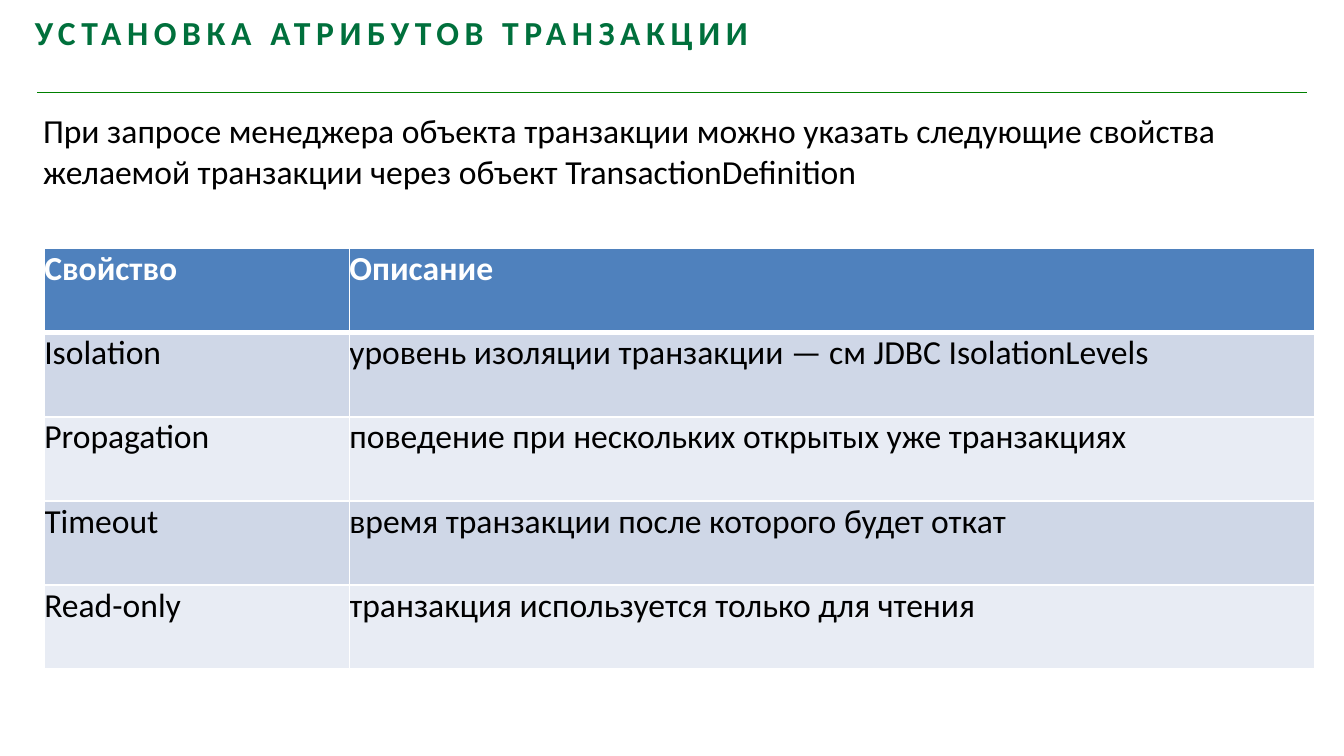
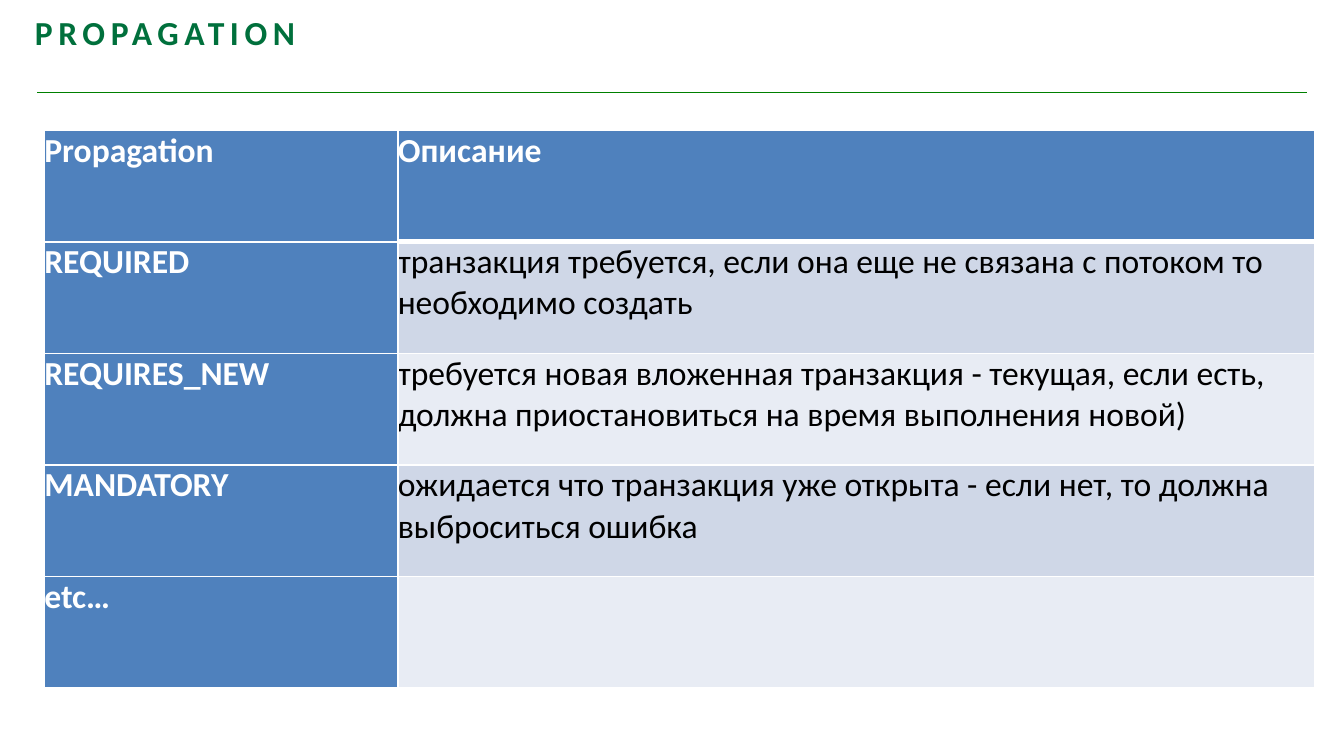
"""Build two slides about transaction attributes."""
from lxml import etree
from pptx import Presentation
from pptx import util as u
from pptx.dml import color
from pptx.enum import shapes, text
from pptx.oxml import ns

FONT = "Calibri"
TITLE_GREEN = "00703C"
RULE_GREEN = "008000"
HEADER_BLUE = "4F81BD"
BANDS = ("CFD7E7", "E8ECF4")
WHITE = "FFFFFF"
BLACK = "000000"
TABLE_LEFT = 0.33

ATTRIBUTES = [
    ("Свойство", "Описание"),
    ("Isolation", "уровень изоляции транзакции — см JDBC IsolationLevels"),
    ("Propagation", "поведение при нескольких открытых уже транзакциях"),
    ("Timeout", "время транзакции после которого будет откат"),
    ("Read-only", "транзакция используется только для чтения"),
]
PROPAGATION = [
    ("Propagation", "Описание"),
    ("REQUIRED", "транзакция требуется, если она еще не связана с потоком "
                 "то необходимо создать"),
    ("REQUIRES_NEW", "требуется новая вложенная транзакция - текущая, если есть, "
                     "должна приостановиться на время выполнения новой)"),
    ("MANDATORY", "ожидается что транзакция уже открыта - если нет, "
                  "то должна выброситься ошибка"),
    ("etc…", ""),
]


def rgb(value):
    """Return the colour for a hex string."""
    return color.RGBColor.from_string(value)


def add_run(paragraph, content, colour, bold=False, before=20):
    """Add one styled run to a paragraph."""
    paragraph.space_before = u.Pt(before)
    run = paragraph.add_run()
    run.text = content
    run.font.name = FONT
    run.font.size = u.Pt(18)
    run.font.bold = bold
    run.font.color.rgb = rgb(colour)
    return run


def add_text_box(slide, left, top, width, height, margin):
    """Add an empty wrapping text box and return its first paragraph."""
    box = slide.shapes.add_textbox(*map(u.Inches, (left, top, width, height)))
    frame = box.text_frame
    frame.word_wrap = True
    frame.vertical_anchor = text.MSO_ANCHOR.TOP
    frame.margin_left = frame.margin_right = u.Inches(margin)
    frame.margin_top = frame.margin_bottom = u.Inches(margin)
    return frame.paragraphs[0]


def add_titled_slide(presentation, title):
    """Add a blank slide with the shared rule and title."""
    slide = presentation.slides.add_slide(presentation.slide_layouts[6])
    rule = slide.shapes.add_connector(
        shapes.MSO_CONNECTOR.STRAIGHT,
        *map(u.Inches, (0.28, 0.69, 9.72, 0.69)))
    rule.line.color.rgb = rgb(RULE_GREEN)
    rule.line.width = u.Pt(0.75)
    rule._element.spPr.find(ns.qn("a:ln")).set("cap", "sq")
    etree.SubElement(rule._element.spPr, ns.qn("a:effectLst"))
    paragraph = add_text_box(slide, 0.26, 0.09, 7.17, 0.6, 0)
    run = add_run(paragraph, title, TITLE_GREEN, bold=True, before=4)
    run.font._element.set("spc", "300")
    return slide


def set_borders(cell, top, bottom):
    """Draw white cell borders, with top and bottom widths in points."""
    properties = cell._tc.get_or_add_tcPr()
    for side, width in (("L", 1), ("R", 1), ("T", top), ("B", bottom)):
        line = etree.SubElement(properties, ns.qn(f"a:ln{side}"), w=str(u.Pt(width)))
        fill = etree.SubElement(line, ns.qn("a:solidFill"))
        etree.SubElement(fill, ns.qn("a:srgbClr"), val=WHITE)


def add_table(slide, top, height, column_widths, rows, header_column=False):
    """Add a banded table with a header row and an optional header column."""
    frame = slide.shapes.add_table(
        len(rows), len(column_widths), u.Inches(TABLE_LEFT), u.Inches(top),
        u.Inches(sum(column_widths)), u.Inches(height))
    table = frame.table
    table.first_col = header_column
    for column, width in zip(table.columns, column_widths):
        column.width = u.Inches(width)
    for row_index, row in enumerate(rows):
        table.rows[row_index].height = u.Inches(height / len(rows))
        for column_index, content in enumerate(row):
            cell = table.cell(row_index, column_index)
            in_header_column = header_column and column_index == 0
            is_header = row_index == 0 or in_header_column
            divider = 1 if in_header_column else 3
            set_borders(cell, divider if row_index == 1 else 1,
                        divider if row_index == 0 else 1)
            cell.fill.solid()
            cell.fill.fore_color.rgb = rgb(
                HEADER_BLUE if is_header else BANDS[(row_index - 1) % 2])
            cell.margin_left = cell.margin_right = 0
            cell.margin_top = cell.margin_bottom = 0
            if content:
                add_run(cell.text_frame.paragraphs[0], content,
                        WHITE if is_header else BLACK, is_header)


def main():
    """Build and save the presentation."""
    presentation = Presentation()
    presentation.slide_width = u.Inches(10)
    presentation.slide_height = u.Inches(10 * 9 / 16)

    slide = add_titled_slide(presentation, "УСТАНОВКА АТРИБУТОВ ТРАНЗАКЦИИ")
    introduction = add_text_box(slide, 0.27, 0.77, 9.68, 0.68, 0.05)
    add_run(introduction,
            "При запросе менеджера объекта транзакции можно указать следующие "
            "свойства желаемой транзакции через объект TransactionDefinition", BLACK)
    add_table(slide, 1.85, 3.13, (2.27, 7.18), ATTRIBUTES)

    slide = add_titled_slide(presentation, "PROPAGATION")
    add_table(slide, 0.97, 4.15, (2.63, 6.82), PROPAGATION, header_column=True)

    presentation.save("out.pptx")


if __name__ == "__main__":
    main()
